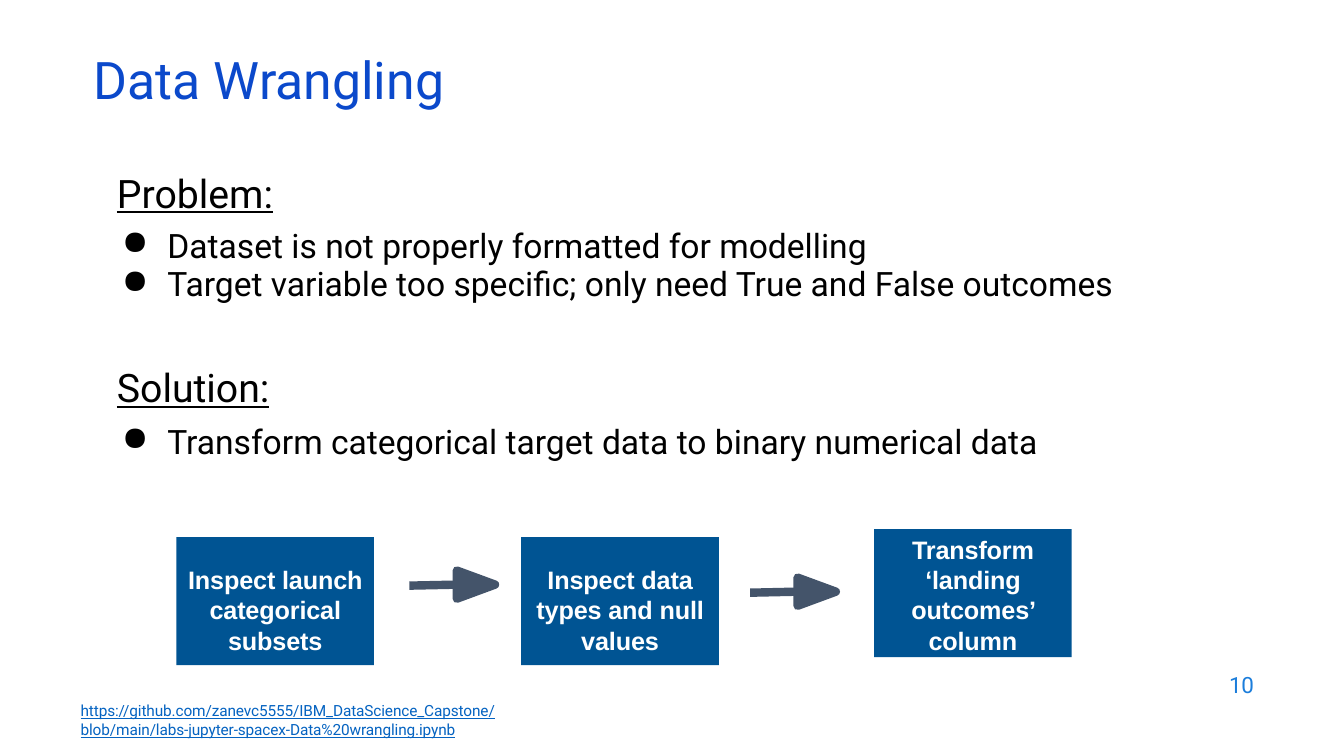
from dataclasses import dataclass

from lxml import etree
from pptx import Presentation
from pptx.dml.color import RGBColor
from pptx.enum.shapes import MSO_CONNECTOR, MSO_SHAPE
from pptx.enum.text import PP_ALIGN
from pptx.oxml.ns import qn
from pptx.util import Inches, Pt

RECT = MSO_SHAPE.RECTANGLE
STRAIGHT = MSO_CONNECTOR.STRAIGHT
CENTER = PP_ALIGN.CENTER


@dataclass(frozen=True)
class Theme:
    body_font: str = "Roboto"
    step_font: str = "Arial"
    title: str = "0B49CB"
    text: str = "000000"
    number: str = "1B7DDB"
    link: str = "0563C1"
    step: str = "005493"
    step_text: str = "FFFFFF"
    arrow: str = "44546A"
    title_size: float = 37
    heading_size: float = 28
    bullet_size: float = 24
    step_size: float = 18
    number_size: float = 16
    link_size: float = 11
    arrow_width: float = 6


@dataclass(frozen=True)
class Line:
    text: str
    heading: bool = False
    before: float = 0
    exact: float | None = None


@dataclass(frozen=True)
class Step:
    text: str
    x: float
    y: float
    inset_top: float


@dataclass(frozen=True)
class Arrow:
    x: float
    y: float


THEME = Theme()
BODY = [
    Line("Problem:", heading=True),
    Line("Dataset is not properly formatted for modelling", before=7.2, exact=27.4),
    Line("Target variable too specific; only need True and False outcomes", exact=27.4),
    Line("Solution:", heading=True, before=43),
    Line("Transform categorical target data to binary numerical data", before=7.2),
]
STEPS = [
    Step("Inspect launch categorical subsets", 1.75, 5.33, 0.17),
    Step("Inspect data types and null values", 5.17, 5.33, 0.17),
    Step("Transform ‘landing outcomes’ column", 8.67, 5.25, 0.03),
]
ARROWS = [Arrow(4.06, 5.8), Arrow(7.44, 5.87)]
STEP_W, STEP_H = 1.96, 1.27
SHAFT, HEAD_W, HEAD_H = 0.47, 0.38, 0.28


def rgb(color: str) -> RGBColor:
    return RGBColor.from_string(color)


def set_frame(tf, left: float, top: float, right: float = 0) -> None:
    margins = {"margin_left": left, "margin_top": top,
               "margin_right": right, "margin_bottom": 0}
    for name, value in margins.items():
        setattr(tf, name, Inches(value))
    tf.word_wrap = True


def add_run(p, text: str, size: float, color: str,
            font: str = THEME.body_font, spacing: float = 0, **style) -> None:
    r = p.add_run()
    r.text = text
    formats = {"size": Pt(size), "name": font, **style}
    for name, value in formats.items():
        setattr(r.font, name, value)
    r.font.color.rgb = rgb(color)
    if spacing:
        r.font._element.set("spc", str(round(spacing * 100)))


def add_text(s, x: float, y: float, w: float, h: float, top: float = 0.01):
    tf = s.shapes.add_textbox(Inches(x), Inches(y), Inches(w), Inches(h)).text_frame
    set_frame(tf, 0.01, top)
    return tf


def add_bullet(p) -> None:
    pPr = p._p.get_or_add_pPr()
    pPr.set("marL", str(Inches(0.5)))
    pPr.set("indent", str(Inches(-0.45)))
    etree.SubElement(pPr, qn("a:buChar")).set("char", "●")


def add_body(s, lines: list[Line]) -> None:
    tf = add_text(s, 1.15, 1.55, 9.95, 3.03, top=0.13)
    for i, line in enumerate(lines):
        p = tf.add_paragraph() if i else tf.paragraphs[0]
        if not line.heading:
            add_bullet(p)
        if line.before:
            p.space_before = Pt(line.before)
        if line.exact:
            p.line_spacing = Pt(line.exact)
        size = THEME.heading_size if line.heading else THEME.bullet_size
        add_run(p, line.text, size, THEME.text, underline=line.heading)


def add_step(s, step: Step) -> None:
    sp = s.shapes.add_shape(RECT, Inches(step.x), Inches(step.y),
                            Inches(STEP_W), Inches(STEP_H))
    sp.shadow.inherit = False
    sp.fill.solid()
    sp.fill.fore_color.rgb = rgb(THEME.step)
    sp.line.fill.background()
    tf = sp.text_frame
    set_frame(tf, 0.08, step.inset_top, 0.08)
    p = tf.paragraphs[0]
    p.alignment = CENTER
    add_run(p, step.text, THEME.step_size, THEME.step_text,
            font=THEME.step_font, spacing=-0.1, bold=True)


def set_line(line) -> None:
    line.color.rgb = rgb(THEME.arrow)
    line.width = Pt(THEME.arrow_width)


def add_arrow(s, arrow: Arrow) -> None:
    x, y = arrow.x + SHAFT, arrow.y
    shaft = s.shapes.add_connector(STRAIGHT, Inches(arrow.x), Inches(y + 0.01),
                                   Inches(x), Inches(y))
    set_line(shaft.line)
    etree.SubElement(shaft._element.spPr, qn("a:effectLst"))

    # Wide outline with round joins softens the head's corners
    top, bottom = y - HEAD_H / 2, y + HEAD_H / 2
    outline = s.shapes.build_freeform(Inches(x), Inches(bottom))
    outline.add_line_segments([(Inches(x + HEAD_W), Inches(y)),
                               (Inches(x), Inches(top))], close=True)
    head = outline.convert_to_shape()
    head.shadow.inherit = False
    head.fill.solid()
    head.fill.fore_color.rgb = rgb(THEME.arrow)
    set_line(head.line)
    etree.SubElement(head.line._get_or_add_ln(), qn("a:round"))


def main() -> None:
    prs = Presentation()
    prs.slide_width, prs.slide_height = Inches(13.33), Inches(7.5)
    s = prs.slides.add_slide(prs.slide_layouts[6])

    # Title and body
    tf = add_text(s, 0.92, 0.46, 11.2, 0.84)
    add_run(tf.paragraphs[0], "Data Wrangling", THEME.title_size, THEME.title)
    add_body(s, BODY)

    # Process steps
    for step in STEPS:
        add_step(s, step)
    for arrow in ARROWS:
        add_arrow(s, arrow)

    # Notebook address and page number
    tf = add_text(s, 0.79, 6.95, 4.14, 0.39)
    add_run(tf.paragraphs[0],
            "https://github.com/zanevc5555/IBM_DataScience_Capstone/ "
            "blob/main/labs-jupyter-spacex-Data%20wrangling.ipynb",
            THEME.link_size, THEME.link, spacing=-0.1, underline=True)
    tf = add_text(s, 12.18, 6.65, 0.28, 0.29)
    add_run(tf.paragraphs[0], "10", THEME.number_size, THEME.number, spacing=-0.2)

    prs.save("out.pptx")


if __name__ == "__main__":
    main()
